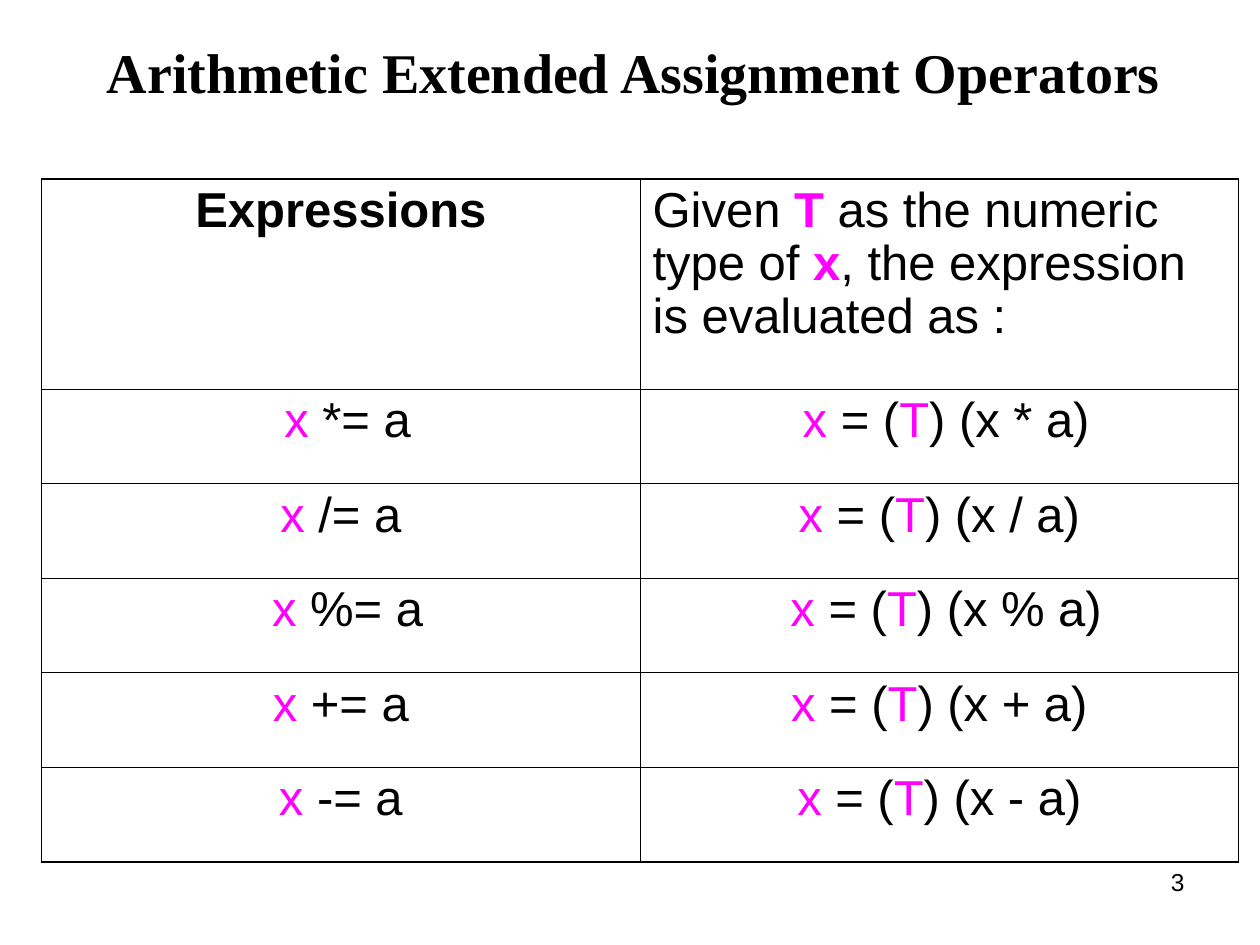
import pptx
import pptx.dml.color
import pptx.enum.text
import pptx.oxml
import pptx.oxml.ns
import pptx.util

Inches = pptx.util.Inches
Pt = pptx.util.Pt
ALIGN = pptx.enum.text.PP_ALIGN
BLACK = "000000"
MAGENTA = "FF00FF"


def color(value):
    return pptx.dml.color.RGBColor.from_string(value)


def write(text_frame, text, font="Arial", size=28, bold=False, align=ALIGN.LEFT, before=0, line=None):
    """Write text in which each part between bars is an accented run."""
    paragraph = text_frame.paragraphs[0]
    paragraph.alignment = align
    paragraph.space_before = Pt(before)
    if line:
        paragraph.line_spacing = line
    for index, part in enumerate(text.split("|")):
        if not part:
            continue
        accented = index % 2 == 1
        run = paragraph.add_run()
        run.text = part
        run.font.name = font
        run.font.size = Pt(size)
        run.font.bold = bold or (accented and align == ALIGN.LEFT)
        run.font.color.rgb = color(MAGENTA if accented else BLACK)


class SlideBuilder:
    """Hold the slide and its border style, and add each kind of element."""

    def __init__(self, slide, inner=0.45, outer=1.08):
        self.slide = slide
        self.inner = inner
        self.outer = outer

    def text(self, left, top, width, height, text, **style):
        shape = self.slide.shapes.add_textbox(Inches(left), Inches(top), Inches(width), Inches(height))
        shape.text_frame.word_wrap = True
        write(shape.text_frame, text, **style)

    def borders(self, cell, outer_sides):
        properties = cell._tc.get_or_add_tcPr()
        for position, side in enumerate("LRTB"):
            width = Pt(self.outer if side in outer_sides else self.inner)
            properties.insert(position, pptx.oxml.parse_xml(
                f'<a:ln{side} {pptx.oxml.ns.nsdecls("a")} w="{width}"><a:solidFill>'
                f'<a:srgbClr val="{BLACK}"/></a:solidFill></a:ln{side}>'))

    def table(self, left, top, widths, heights, rows):
        frame = self.slide.shapes.add_table(
            len(rows), len(widths), Inches(left), Inches(top),
            Inches(sum(widths)), Inches(sum(heights)))
        table = frame.table
        table.first_row = False
        table.horz_banding = False
        for column, width in zip(table.columns, widths):
            column.width = Inches(width)
        for row, height in zip(table.rows, heights):
            row.height = Inches(height)
        for row_index, row in enumerate(rows):
            for column_index, (text, style) in enumerate(row):
                cell = table.cell(row_index, column_index)
                cell.fill.background()
                write(cell.text_frame, text, before=7, line=0.97, **style)
                outer_sides = "L" if column_index == 0 else "R"
                if row_index == 0:
                    outer_sides += "T"
                if row_index == len(rows) - 1:
                    outer_sides += "B"
                self.borders(cell, outer_sides)


def main():
    presentation = pptx.Presentation()
    presentation.slide_width = Inches(10)
    presentation.slide_height = Inches(7.5)
    builder = SlideBuilder(presentation.slides.add_slide(presentation.slide_layouts[6]))

    centered = {"align": ALIGN.CENTER}
    rows = [[("Expressions", {"bold": True, **centered}),
             ("Given |T| as the numeric type of |x|, the expression is evaluated as :", {})]]
    for operator, indent in (("*", " "), ("/", ""), ("%", " "), ("+", ""), ("-", "")):
        rows.append([(f"|{indent}x| {operator}= a", centered),
                     (f"|{indent}x| = (|T|) (x {operator} a)", centered)])
    builder.table(0.33, 1.42, [4.75] * 2, [1.67] + [0.75] * 5, rows)

    builder.text(0.75, 0.25, 8.58, 1.17, "Arithmetic Extended Assignment Operators",
                 font="Times New Roman", size=32, bold=True, before=20)
    builder.text(7.17, 6.83, 2.33, 0.52, "3", size=14, align=ALIGN.RIGHT)
    presentation.save("out.pptx")


if __name__ == "__main__":
    main()
